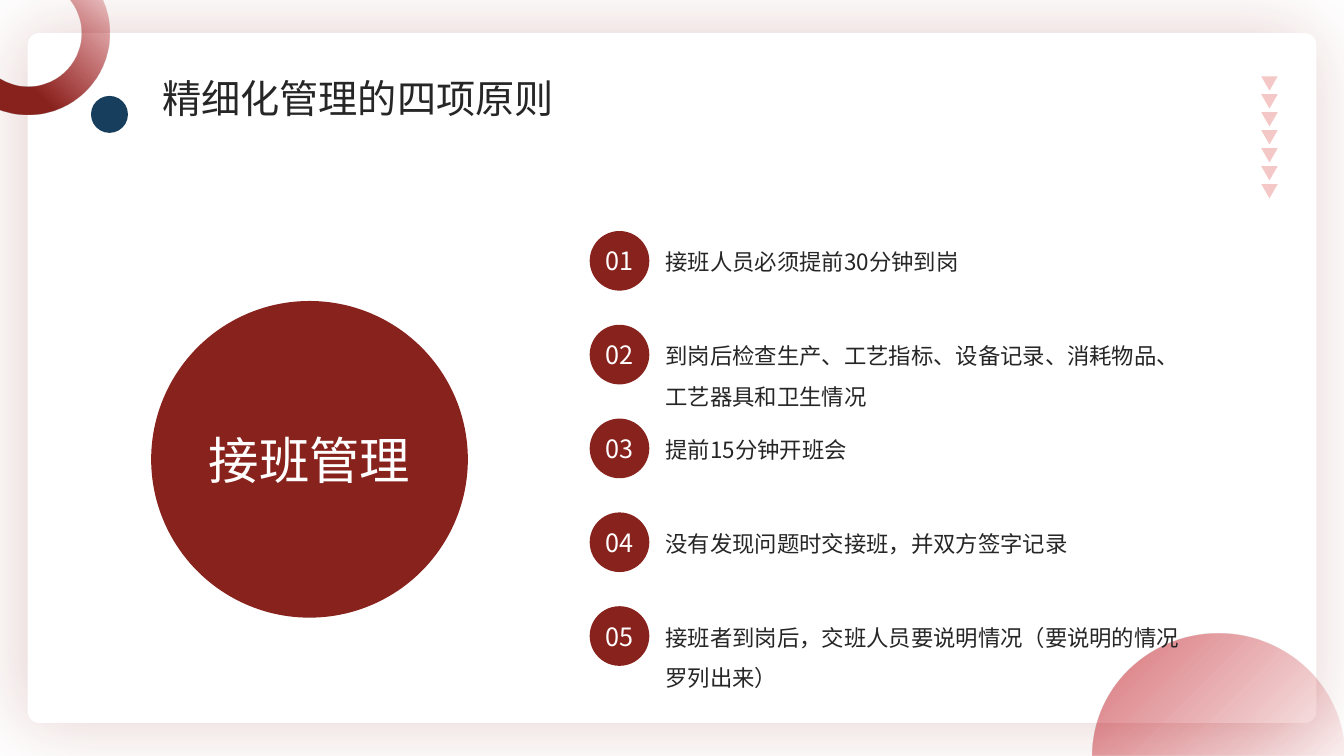
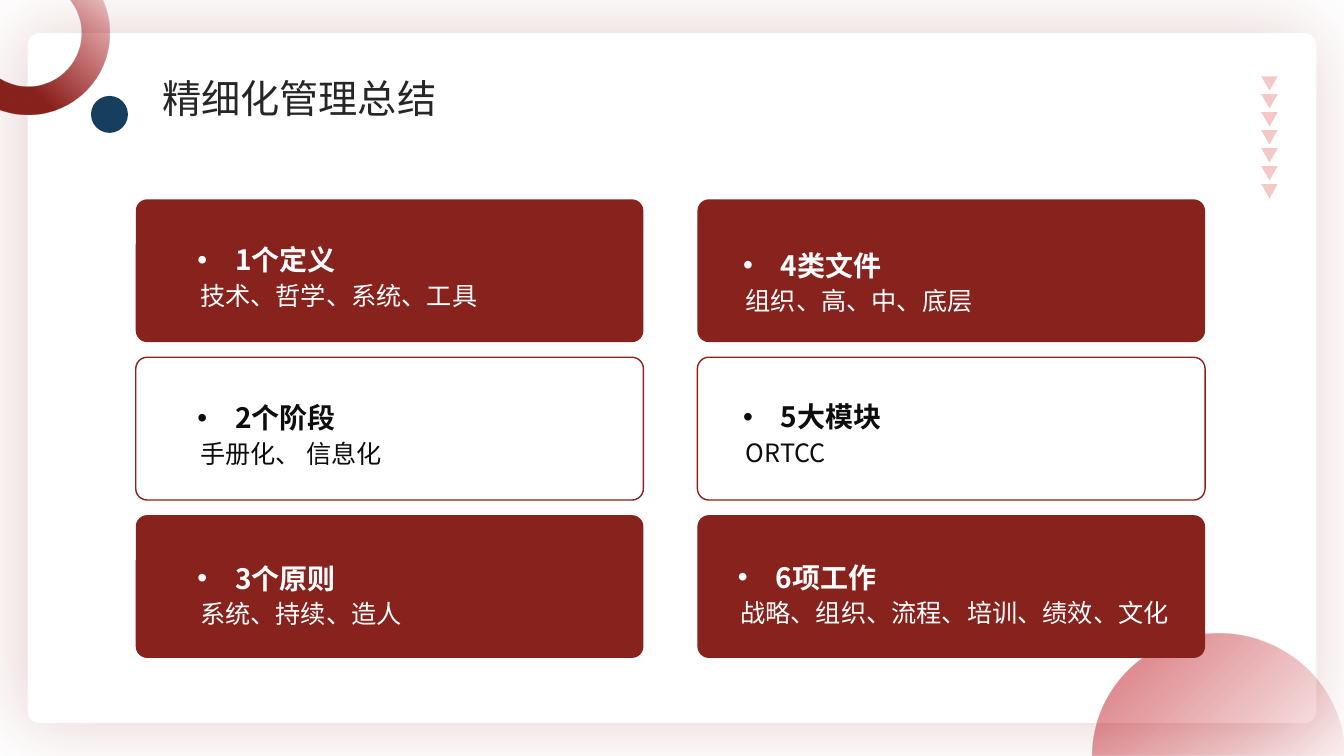
import math

from lxml import etree
from pptx import Presentation
from pptx.dml.color import RGBColor
from pptx.enum.shapes import MSO_SHAPE
from pptx.enum.text import MSO_ANCHOR, MSO_AUTO_SIZE, PP_ALIGN
from pptx.oxml.ns import qn
from pptx.util import Pt

ELLIPSE, ROUNDED = MSO_SHAPE.OVAL, MSO_SHAPE.ROUNDED_RECTANGLE
DONUT, TRIANGLE = MSO_SHAPE.DONUT, MSO_SHAPE.FLOWCHART_MERGE
LEFT, CENTER = PP_ALIGN.LEFT, PP_ALIGN.CENTER
TOP, MIDDLE = MSO_ANCHOR.TOP, MSO_ANCHOR.MIDDLE

DARK_RED = RGBColor(0x88, 0x22, 0x1D)
BRIGHT_RED = RGBColor(0xB9, 0x00, 0x0B)
NAVY = RGBColor(0x17, 0x3E, 0x5D)
PINK = RGBColor(0xF3, 0xC8, 0xC6)
WHITE = RGBColor(0xFF, 0xFF, 0xFF)
INK = RGBColor(0x26, 0x26, 0x26)
BLACK = RGBColor(0x0D, 0x0D, 0x0D)

FONT = "Noto Sans CJK SC"
PAGE_WIDTH, PAGE_HEIGHT = 960, 540
TITLE_BOX = (108.7, 49.7, 448.6, 41)

HANDOVER_STEPS = [
    "接班人员必须提前30分钟到岗",
    "到岗后检查生产、工艺指标、设备记录、消耗物品、工艺器具和卫生情况",
    "提前15分钟开班会",
    "没有发现问题时交接班，并双方签字记录",
    "接班者到岗后，交班人员要说明情况（要说明的情况罗列出来）",
]

# Heading, detail, and offset of the heading inside its card
SUMMARY_COLUMNS = [
    [
        ("1个定义", "技术、哲学、系统、工具", 44, 19),
        ("2个阶段", "手册化、 信息化", 44, 19.2),
        ("3个原则", "系统、持续、造人", 44, 20.8),
    ],
    [
        ("4类文件", "组织、高、中、底层", 32.6, 23),
        ("5大模块", "ORTCC", 32.6, 18.4),
        ("6项工作", "战略、组织、流程、培训、绩效、文化", 28.8, 20.2),
    ],
]


def points(*lengths):
    return [Pt(length) for length in lengths]


def set_alpha(color_parent, percent):
    color = color_parent.find(qn("a:srgbClr"))
    etree.SubElement(color, qn("a:alpha"), val=str(percent * 1000))


def paint(shape, fill=None, line=None):
    shape.shadow.inherit = False
    if fill is not None:
        shape.fill.solid()
        shape.fill.fore_color.rgb = fill
    if line is None:
        shape.line.fill.background()
    else:
        shape.line.color.rgb = line
        shape.line.width = Pt(1)


def paint_gradient(shape, angle, stops):
    """Each stop is (position, colour, opacity percent); angle is counter-clockwise."""
    paint(shape)
    shape.fill.gradient()
    shape.fill.gradient_angle = angle
    for stop, (position, color, opacity) in zip(shape.fill.gradient_stops, stops):
        stop.position = position
        stop.color.rgb = color
        set_alpha(stop.element, opacity)


def add_shape(page, kind, box, fill=None, line=None, adjust=None):
    shape = page.shapes.add_shape(kind, *points(*box))
    if adjust is not None:
        shape.adjustments[0] = adjust
    paint(shape, fill, line)
    return shape


def write(shape, text, size, color, align=LEFT, anchor=TOP, inset=None,
          spacing=None, bold=False, bullet_indent=None):
    frame = shape.text_frame
    frame.word_wrap = True
    frame.auto_size = MSO_AUTO_SIZE.NONE
    frame.vertical_anchor = anchor
    if inset is not None:
        frame.margin_left = frame.margin_right = Pt(inset)
        frame.margin_top = frame.margin_bottom = Pt(inset)
    para = frame.paragraphs[0]
    para.text = text
    para.alignment = align
    if spacing is not None:
        para.line_spacing = spacing
    if bullet_indent is not None:
        properties = para._p.get_or_add_pPr()
        properties.set("marL", str(Pt(bullet_indent)))
        properties.set("indent", str(-Pt(bullet_indent)))
        etree.SubElement(properties, qn("a:buFont"), typeface="Arial")
        etree.SubElement(properties, qn("a:buChar"), char="•")
    font = para.font
    font.size = Pt(size)
    font.bold = bold
    font.color.rgb = color
    font.name = FONT
    defaults = para._p.pPr.find(qn("a:defRPr"))
    etree.SubElement(defaults, qn("a:ea"), typeface=FONT)


def add_text(page, box, text, size, color, **style):
    write(page.shapes.add_textbox(*points(*box)), text, size, color, **style)


def add_panel(page, box):
    panel = add_shape(page, ROUNDED, box, WHITE, adjust=0.017)
    effects = panel.element.spPr.find(qn("a:effectLst"))
    shadow = etree.SubElement(
        effects, qn("a:outerShdw"), blurRad=str(Pt(54)), dist=str(Pt(3)),
        dir="10800000", algn="ctr", rotWithShape="0")
    etree.SubElement(shadow, qn("a:srgbClr"), val=str(DARK_RED))
    set_alpha(shadow, 22)


def add_dome(page, box):
    left, top, width, height = box
    steps = 60
    arc = []
    for step in range(steps + 1):
        angle = math.pi * step / steps
        arc.append((Pt(left + width / 2 * (1 - math.cos(angle))),
                    Pt(top + height * (1 - math.sin(angle)))))
    builder = page.shapes.build_freeform(*arc[0])
    builder.add_line_segments(arc[1:], close=True)
    dome = builder.convert_to_shape()
    paint_gradient(dome, 315, [(0.02, BRIGHT_RED, 54), (1, BRIGHT_RED, 5)])


def add_triangle_column(page, left, top, count=7, pitch=12.83):
    for index in range(count):
        add_shape(page, TRIANGLE, (left, top + index * pitch, 11.8, 10.2), PINK)


def decorate_layout(layout, page):
    """Draw the shared frame on a page, then move it into the layout."""
    add_panel(page, (19.8, 23.6, 920.4, 492.8))
    ring = add_shape(page, DONUT, (-38, -34.4, 116.2, 116.2), adjust=0.174)
    paint_gradient(ring, 45, [(0.34, DARK_RED, 100), (1, BRIGHT_RED, 0)])
    add_shape(page, ELLIPSE, (65, 68.5, 26.4, 26.4), NAVY)
    add_dome(page, (780.2, 452.8, PAGE_WIDTH - 780.2, PAGE_HEIGHT - 452.8))
    add_triangle_column(page, 900.9, 54.5)
    frame_parts = [shape for shape in page.shapes if not shape.is_placeholder]
    for number, shape in enumerate(frame_parts, start=100):
        shape.element.nvSpPr.cNvPr.set("id", str(number))
        layout.shapes.element.append(shape.element)
    title = layout.placeholders[0]
    title.left, title.top, title.width, title.height = points(*TITLE_BOX)


def add_steps(page, left, top, steps, pitch=67):
    badge = 42.6
    for index, step in enumerate(steps):
        row = top + index * pitch
        circle = add_shape(page, ELLIPSE, (left, row, badge, badge), DARK_RED)
        write(circle, f"{index + 1:02d}", 18, WHITE,
              align=CENTER, anchor=MIDDLE, inset=0)
        add_text(page, (left + 52.8, row + 1.5, 372.2, 39), step, 16, INK,
                 inset=1.5, spacing=1.5)


def add_card(page, box, card, filled):
    left, top, width, height = box
    heading, detail, indent, drop = card
    if filled:
        fill, line, color = DARK_RED, None, WHITE
    else:
        fill, line, color = WHITE, DARK_RED, BLACK
    add_shape(page, ROUNDED, box, fill, line, adjust=0.08)
    add_text(page, (left + indent, top + drop, 240, 32.4), heading, 20, color,
             inset=0, spacing=1.5, bold=True, bullet_indent=27)
    add_text(page, (left + indent - 5.2, top + drop + 35, width - indent, 29),
             detail, 18, color)


def fill_principle_page(page):
    write(page.shapes.title, "精细化管理的四项原则", 28, INK)
    topic = add_shape(page, ELLIPSE, (108, 215, 226.2, 226.2), DARK_RED)
    write(topic, "接班管理", 36, WHITE, align=CENTER, anchor=MIDDLE)
    add_steps(page, 421.2, 165, HANDOVER_STEPS)


def fill_summary_page(page):
    write(page.shapes.title, "精细化管理总结", 28, INK)
    for column, cards in enumerate(SUMMARY_COLUMNS):
        for row, card in enumerate(cards):
            box = (97 + column * 401.2, 142.4 + row * 112.8, 362.6, 102)
            add_card(page, box, card, filled=row % 2 == 0)


def main():
    deck = Presentation()
    deck.slide_width, deck.slide_height = points(PAGE_WIDTH, PAGE_HEIGHT)
    layout = deck.slide_layouts.get_by_name("Title Only")
    principle_page = deck.slides.add_slide(layout)
    decorate_layout(layout, principle_page)
    fill_principle_page(principle_page)
    fill_summary_page(deck.slides.add_slide(layout))
    deck.save("out.pptx")


if __name__ == "__main__":
    main()
